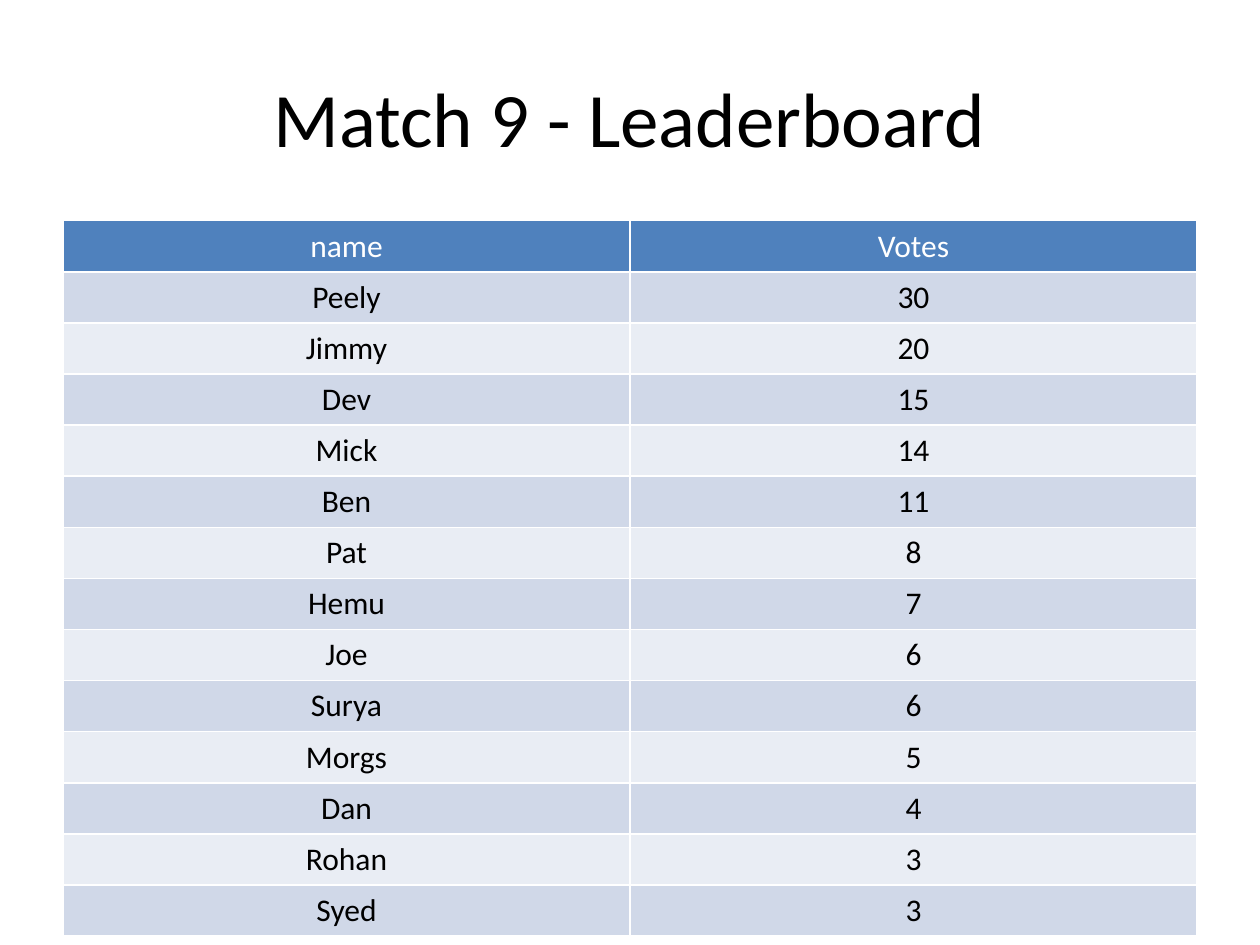
from dataclasses import dataclass

from pptx import Presentation
from pptx.dml.color import RGBColor as Rgb
from pptx.enum.text import MSO_ANCHOR as Anchor, PP_ALIGN as Align
from pptx.util import Cm, Pt

FONT = "Calibri"
BLACK, WHITE = "000000", "FFFFFF"
HEAD = "4F81BD"
BANDS = ("D0D8E8", "E9EDF4")
LEFT, WIDE = 1.27, 22.86
ROW = 1.03


@dataclass
class Entry:
    name: str
    votes: int


BOARD = [
    Entry("Peely", 30),
    Entry("Jimmy", 20),
    Entry("Dev", 15),
    Entry("Mick", 14),
    Entry("Ben", 11),
    Entry("Pat", 8),
    Entry("Hemu", 7),
    Entry("Joe", 6),
    Entry("Surya", 6),
    Entry("Morgs", 5),
    Entry("Dan", 4),
    Entry("Rohan", 3),
    Entry("Syed", 3),
]


def paint(target, tone: str) -> None:
    target.rgb = Rgb.from_string(tone)


def write(frame, text: str, size: int, tone: str) -> None:
    para = frame.paragraphs[0]
    para.alignment = Align.CENTER
    run = para.add_run()
    run.text = text
    run.font.name = FONT
    run.font.size = Pt(size)
    run.font.bold = False
    paint(run.font.color, tone)


def fill_row(table, index: int, texts: tuple, back: str, tone: str) -> None:
    table.rows[index].height = Cm(ROW)
    for cell, text in zip(table.rows[index].cells, texts):
        cell.fill.solid()
        paint(cell.fill.fore_color, back)
        write(cell.text_frame, text, 18, tone)


def add_board(slide, board: list[Entry]) -> None:
    count = len(board) + 1
    frame = slide.shapes.add_table(
        count, 2, Cm(LEFT), Cm(4.45), Cm(WIDE), Cm(ROW * count)
    )
    table = frame.table
    fill_row(table, 0, ("name", "Votes"), HEAD, WHITE)
    for index, entry in enumerate(board):
        texts = (entry.name, str(entry.votes))
        fill_row(table, index + 1, texts, BANDS[index % 2], BLACK)


def add_title(slide, text: str) -> None:
    title = slide.shapes.title
    title.left, title.top = Cm(LEFT), Cm(0.76)
    title.width, title.height = Cm(WIDE), Cm(3.18)
    title.text_frame.vertical_anchor = Anchor.MIDDLE
    write(title.text_frame, text, 44, BLACK)


def main() -> None:
    deck = Presentation()
    deck.slide_width, deck.slide_height = Cm(25.4), Cm(19.05)
    slide = deck.slides.add_slide(deck.slide_layouts[5])
    add_title(slide, "Match 9 - Leaderboard")
    add_board(slide, BOARD)
    deck.save("out.pptx")


if __name__ == "__main__":
    main()
